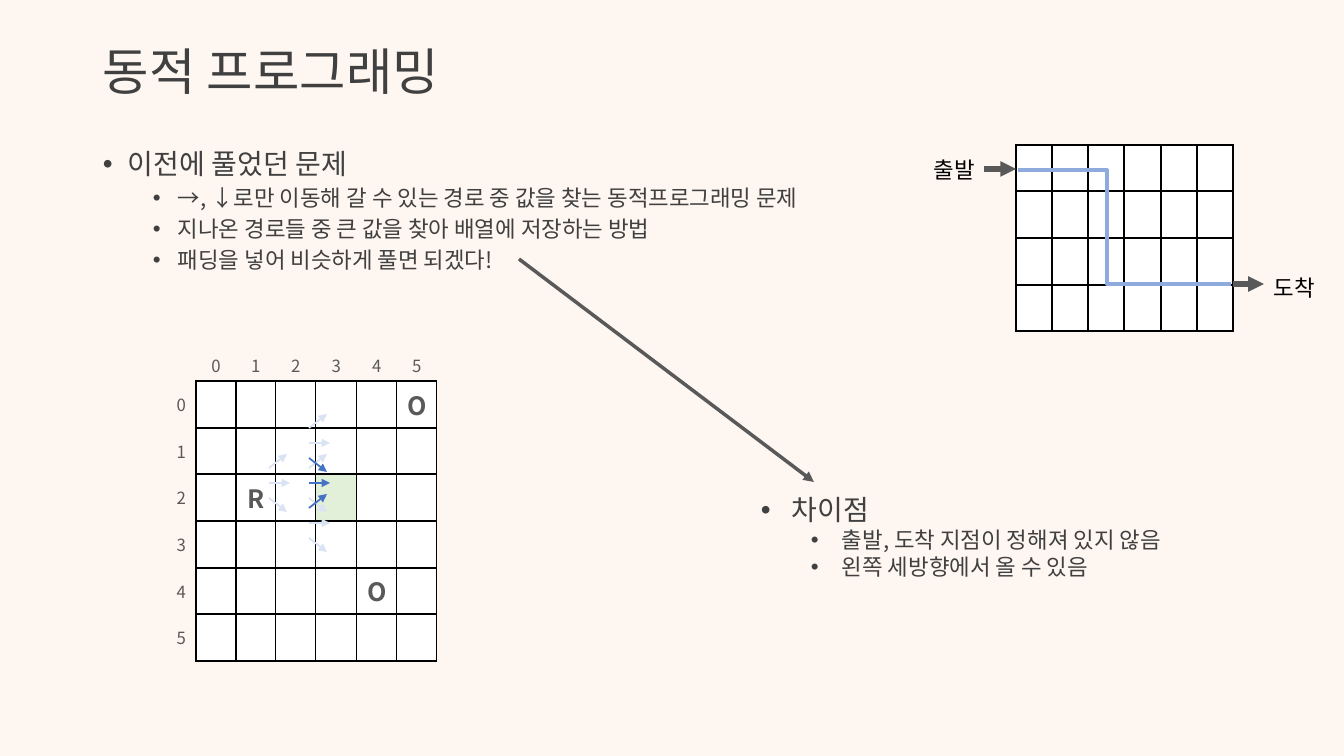
from itertools import pairwise

from lxml.etree import SubElement
from pptx import Presentation
from pptx.dml.color import RGBColor
from pptx.enum.shapes import MSO_CONNECTOR
from pptx.enum.text import MSO_ANCHOR, PP_ALIGN
from pptx.oxml.ns import qn
from pptx.util import Pt

PX = 914400 / 100.8
FONT = "Noto Sans CJK KR"
NO_GRID_STYLE = "{2D5ABB26-0587-4C30-8999-92F81FD0307C}"

CREAM = RGBColor(0xFE, 0xF6, 0xF0)
WHITE = RGBColor(0xFF, 0xFF, 0xFF)
BLACK = RGBColor(0x00, 0x00, 0x00)
DARK = RGBColor(0x40, 0x40, 0x40)
GRAY = RGBColor(0x59, 0x59, 0x59)
PALE_BLUE = RGBColor(0xDA, 0xE3, 0xF3)
BLUE = RGBColor(0x44, 0x72, 0xC4)
ROUTE_BLUE = RGBColor(0x8F, 0xAA, 0xDC)
GREEN = RGBColor(0xE2, 0xF0, 0xD9)


def emu(px):
    return round(px * PX)


def steps(start, end, count):
    edges = [start + round((end - start) * i / count) for i in range(count + 1)]
    return [b - a for a, b in pairwise(edges)]


def write(p, text, size=16, color=DARK, bold=False, align=PP_ALIGN.LEFT):
    p.alignment = align
    r = p.add_run()
    r.text = text
    r.font.size = Pt(size)
    r.font.bold = bold
    r.font.name = FONT
    r.font.color.rgb = color
    SubElement(r.font._element, qn("a:ea"), typeface=FONT)


class SlideBuilder:
    def __init__(self, s):
        self.s = s
        s.background.fill.solid()
        s.background.fill.fore_color.rgb = CREAM

    def box(self, x, y, w, h, anchor=MSO_ANCHOR.TOP):
        tf = self.s.shapes.add_textbox(*map(emu, (x, y, w, h))).text_frame
        tf.word_wrap = True
        tf.vertical_anchor = anchor
        return tf

    def label(self, text, x, y, w, h, anchor=MSO_ANCHOR.TOP, spacing=1.0, **style):
        p = self.box(x, y, w, h, anchor).paragraphs[0]
        p.line_spacing = spacing
        write(p, text, **style)

    def bullets(self, heading, items, x, y, w, h, hang, spacing=1.0, before=(0, 0)):
        tf = self.box(x, y, w, h)
        for i, text in enumerate([heading, *items]):
            level = min(i, 1)
            p = tf.paragraphs[0] if i == 0 else tf.add_paragraph()
            p.level = level
            p.line_spacing = spacing
            p.space_before = Pt(before[level])
            write(p, text, size=(20, 16)[level])
            pPr = p._p.get_or_add_pPr()
            pPr.set("marL", str(emu(hang + 50 * level)))
            pPr.set("indent", str(-emu(hang)))
            SubElement(pPr, qn("a:buFont"), typeface="Arial")
            SubElement(pPr, qn("a:buChar"), char="•")

    def line(self, x1, y1, x2, y2, color, width, arrow=True, bend=None):
        kind = MSO_CONNECTOR.STRAIGHT if bend is None else MSO_CONNECTOR.ELBOW
        sp = self.s.shapes.add_connector(kind, *map(emu, (x1, y1, x2, y2)))
        sp.line.color.rgb = color
        sp.line.width = Pt(width)
        spPr = sp._element.spPr
        if arrow:
            SubElement(sp.line._get_or_add_ln(), qn("a:tailEnd"), type="triangle")
        if bend is not None:
            guides = spPr.find(qn("a:prstGeom")).get_or_add_avLst()
            SubElement(guides, qn("a:gd"), name="adj1", fmla=f"val {round(bend * 100000)}")
        SubElement(spPr, qn("a:effectLst"))

    def fan(self, x, y, highlight=None):
        paths = {"right": (0, 0, 21), "up": (-15, -29, 18), "down": (15, 29, 18)}
        for name, (dy1, dy2, dx) in paths.items():
            color = BLUE if name == highlight else PALE_BLUE
            self.line(x, y + dy1, x + dx, y + dy2, color, 1.25)

    def table(self, x, y, widths, heights):
        frame = self.s.shapes.add_table(len(heights), len(widths),
                                        *map(emu, (x, y, sum(widths), sum(heights))))
        tbl = frame.table
        tbl.first_row = tbl.horz_banding = False
        tbl._tbl.tblPr.find(qn("a:tableStyleId")).text = NO_GRID_STYLE
        for col, w in zip(tbl.columns, widths):
            col.width = emu(w)
        for row, h in zip(tbl.rows, heights):
            row.height = emu(h)
        for cell in tbl.iter_cells():
            cell.margin_top = cell.margin_bottom = 0
            cell.fill.background()
        return tbl

    def grid_cell(self, cell, fill=WHITE):
        tcPr = cell._tc.get_or_add_tcPr()
        for i, side in enumerate(("lnL", "lnR", "lnT", "lnB")):
            ln = tcPr.makeelement(qn(f"a:{side}"), {"w": str(Pt(1))})
            solid = SubElement(ln, qn("a:solidFill"))
            SubElement(solid, qn("a:srgbClr"), val=str(BLACK))
            tcPr.insert(i, ln)
        cell.fill.solid()
        cell.fill.fore_color.rgb = fill

    def cell_text(self, cell, text, anchor=MSO_ANCHOR.MIDDLE, **style):
        cell.margin_top = cell.margin_bottom = emu(4)
        cell.vertical_anchor = anchor
        write(cell.text_frame.paragraphs[0], text, color=GRAY, **style)


prs = Presentation()
prs.slide_width, prs.slide_height = emu(1344), emu(756)
b = SlideBuilder(prs.slides.add_slide(prs.slide_layouts[6]))

b.label("동적 프로그래밍", 93, 26, 1159, 97, MSO_ANCHOR.MIDDLE, 0.9, size=36)
b.bullets("이전에 풀었던 문제",
          ["→, ↓로만 이동해 갈 수 있는 경로 중 값을 찾는 동적프로그래밍 문제",
           "지나온 경로들 중 큰 값을 찾아 배열에 저장하는 방법",
           "패딩을 넣어 비슷하게 풀면 되겠다!"],
          93, 145, 1159, 582, hang=25, spacing=0.9, before=(10, 5))

route = b.table(1016, 145, steps(1016, 1233, 6), steps(145, 331, 4))
for cell in route.iter_cells():
    b.grid_cell(cell)
b.line(984, 169, 1016, 169, GRAY, 3.75)
b.line(1233, 284, 1264, 284, GRAY, 3.75)
b.label("출발", 924, 151, 67, 37, color=BLACK)
b.label("도착", 1264, 269, 67, 37, color=BLACK)
b.line(1018, 170, 1231, 284, ROUTE_BLUE, 2.75, arrow=False, bend=0.417)

board = b.table(156, 343, [40, *steps(196, 437, 6)], [38, *steps(381, 661, 6)])
marks = {(0, 5): "O", (2, 1): "R", (4, 4): "O"}
target = (2, 3)
for i in range(6):
    b.cell_text(board.cell(0, i + 1), str(i), MSO_ANCHOR.BOTTOM, size=12, align=PP_ALIGN.CENTER)
    b.cell_text(board.cell(i + 1, 0), str(i), size=12, align=PP_ALIGN.RIGHT)
    for j in range(6):
        cell = board.cell(i + 1, j + 1)
        b.grid_cell(cell, GREEN if (i, j) == target else WHITE)
        if (i, j) in marks:
            b.cell_text(cell, marks[i, j], size=18, bold=True, align=PP_ALIGN.CENTER)

b.fan(269, 483)
for y, highlight in ((483, "right"), (443, "down"), (523, "up")):
    b.fan(309, y, highlight)

b.line(519, 259, 814, 482, GRAY, 2.5)
b.bullets("차이점", ["출발, 도착 지점이 정해져 있지 않음", "왼쪽 세방향에서 올 수 있음"],
          751, 488, 478, 99, hang=31)

prs.save("out.pptx")
